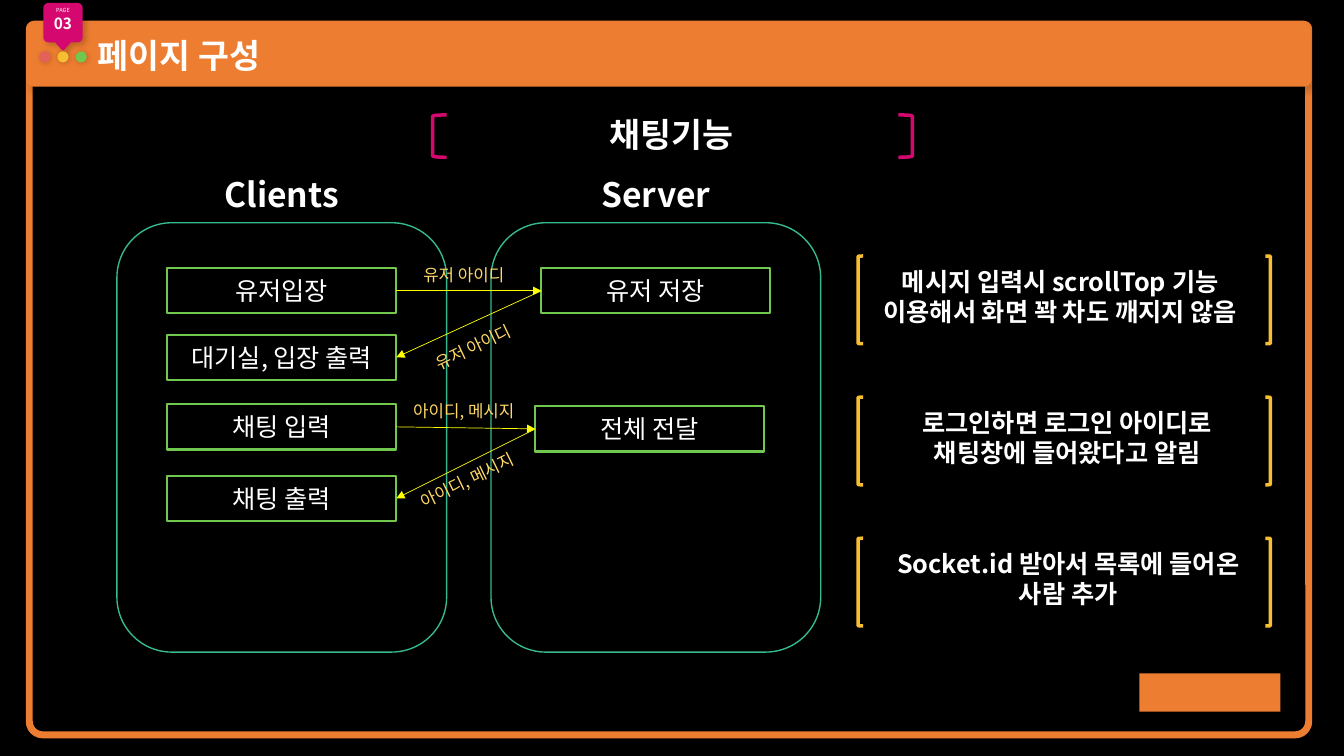
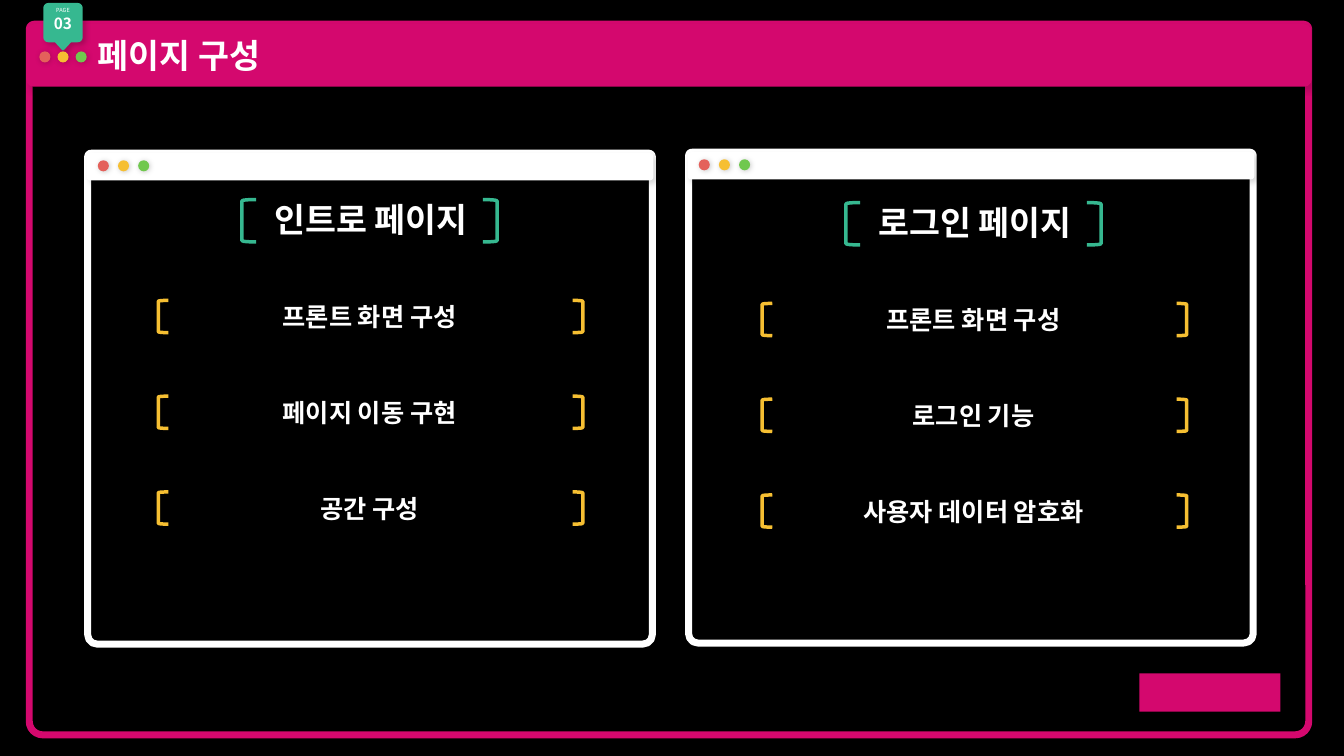
from dataclasses import dataclass
from math import cos, radians, sin

from lxml.etree import SubElement
from pptx import Presentation
from pptx.dml.color import RGBColor
from pptx.enum.shapes import MSO_CONNECTOR, MSO_SHAPE
from pptx.enum.text import MSO_ANCHOR, MSO_AUTO_SIZE, PP_ALIGN
from pptx.oxml.ns import qn
from pptx.util import Pt

PX = 9144  # EMU per px, 100 px to the inch
FONT = "Noto Sans CJK KR"
COLOURS = {
    "black": "000000", "white": "FFFFFF", "orange": "ED7D31", "pink": "D4086E",
    "teal": "36B890", "red": "E4615B", "amber": "F6BF32", "green": "70C84E",
    "yellow": "FFFF00", "sand": "FFD966",
}


@dataclass
class BracketStyle:
    width: int
    height: int
    tip: int
    text_width: int
    text_rise: int  # distance from bracket top up to the text box
    size: int


WIDE_HEADING = BracketStyle(476, 42, 14, 426, 6, 24)
WINDOW_HEADING = BracketStyle(253, 42, 14, 240, 6, 24)
WINDOW_ITEM = BracketStyle(421, 32, 10, 405, 4, 18)
SIDE_NOTE = BracketStyle(409, 87, 5, 397, -5, 18)


def rgb(name):
    return RGBColor.from_string(COLOURS[name])


def emu(*lengths):
    return [length * PX for length in lengths]


# Basic elements
def paint(shape, fill=None, line=None, weight=1):
    shape.shadow.inherit = False
    if fill:
        shape.fill.solid()
        shape.fill.fore_color.rgb = rgb(fill)
    else:
        shape.fill.background()
    if line:
        shape.line.color.rgb = rgb(line)
        shape.line.width = Pt(weight)
    else:
        shape.line.fill.background()
    return shape


def add_shape(slide, preset, box, adjust=(), **look):
    shape = slide.shapes.add_shape(preset, *emu(*box))
    for index, value in enumerate(adjust):
        shape.adjustments[index] = value
    return paint(shape, **look)


def cast_shadow(shape, opacity, distance):
    effects = shape._element.spPr.find(qn("a:effectLst"))
    shadow = SubElement(effects, qn("a:outerShdw"), blurRad=str(Pt(4)),
                        dist=str(Pt(distance)), dir="2700000", algn="tl",
                        rotWithShape="0")
    colour = SubElement(shadow, qn("a:srgbClr"), val=COLOURS["black"])
    SubElement(colour, qn("a:alpha"), val=str(opacity * 1000))


def write(paragraph, text, size=18, colour="white", bold=False,
          align=PP_ALIGN.CENTER):
    paragraph.alignment = align
    run = paragraph.add_run()
    run.text = text
    run.font.size = Pt(size)
    run.font.bold = bold
    run.font.color.rgb = rgb(colour)
    run.font.name = FONT
    SubElement(run.font._element, qn("a:ea"), typeface=FONT)


def add_text(slide, text, box, wrap=True, rotation=0, **style):
    label = slide.shapes.add_textbox(*emu(*box))
    label.rotation = rotation
    label.text_frame.word_wrap = wrap
    label.text_frame.auto_size = MSO_AUTO_SIZE.SHAPE_TO_FIT_TEXT
    write(label.text_frame.paragraphs[0], text, **style)


def add_bracketed(slide, text, left, top, text_left, style, colour):
    add_text(slide, text, (text_left, top - style.text_rise, style.text_width,
                           style.size * 2),
             size=style.size, bold=True)
    for offset, rotation in ((0, 0), (style.width - style.tip, 180)):
        bracket = add_shape(slide, MSO_SHAPE.LEFT_BRACKET,
                            (left + offset, top, style.tip, style.height),
                            line=colour, weight=2.5)
        bracket.rotation = rotation


# Window frames
def add_dots(slide, left, top, step):
    for index, colour in enumerate(("red", "amber", "green")):
        dot = add_shape(slide, MSO_SHAPE.OVAL,
                        (left + index * step, top, 11, 11), fill=colour)
        cast_shadow(dot, 20, 1)


def add_window(slide, left, top, width, height, bar_height, inset, colour):
    frame = add_shape(slide, MSO_SHAPE.ROUND_2_SAME_RECTANGLE,
                      (left + inset, top, width - 2 * inset, height),
                      adjust=(0.007, 0.019), line=colour, weight=5)
    bar = add_shape(slide, MSO_SHAPE.ROUNDED_RECTANGLE,
                    (left, top, width, bar_height), adjust=(0.12,), fill=colour)
    for part in (frame, bar):
        cast_shadow(part, 15, 3)
    return bar


def add_page_pin(slide, colour):
    left, top, right, bottom, radius, centre = 43, 3, 82, 42, 5, 62.5
    arcs = [((right - radius, top + radius), radius, 270, 360),
            ((right - radius, bottom - radius), radius, 0, 90),
            ((centre, 48.5), 1.5, 45, 135),
            ((left + radius, bottom - radius), radius, 90, 180),
            ((left + radius, top + radius), radius, 180, 270)]
    outline = []
    for index, ((x, y), size, start, end) in enumerate(arcs):
        curve = [(x + size * cos(radians(a)), y + size * sin(radians(a)))
                 for a in range(start, end + 1, 15)]
        if index == 2:  # the pointer below the badge
            curve = [(centre + 8, bottom), *curve, (centre - 8, bottom)]
        outline += [(px * 100, py * 100) for px, py in curve]
    builder = slide.shapes.build_freeform(*outline[0], scale=PX / 100)
    builder.add_line_segments(outline[1:], close=True)
    pin = paint(builder.convert_to_shape(), fill=colour)
    cast_shadow(pin, 20, 3)
    frame = pin.text_frame
    frame.vertical_anchor = MSO_ANCHOR.TOP
    frame.margin_left = frame.margin_right = frame.margin_bottom = 0
    frame.margin_top = 4 * PX
    write(frame.paragraphs[0], "PAGE", size=4)
    write(frame.add_paragraph(), "03", size=11, bold=True)


def add_page(deck, title, colour, pin_colour):
    slide = deck.slides.add_slide(deck.slide_layouts[6])
    slide.background.fill.solid()
    slide.background.fill.fore_color.rgb = rgb("black")
    band = add_window(slide, 26, 24, 1275, 705, 62, 3, colour)
    band.text_frame.margin_left = 69 * PX
    band.text_frame.vertical_anchor = MSO_ANCHOR.MIDDLE
    write(band.text_frame.paragraphs[0], title, size=24, bold=True,
          align=PP_ALIGN.LEFT)
    add_page_pin(slide, pin_colour)
    add_dots(slide, 39, 51, 18)
    # Plain corner block
    add_shape(slide, MSO_SHAPE.RECTANGLE, (1130, 668, 140, 38), fill=colour)
    return slide


# Chat flow
def add_lane(slide, name, left):
    add_shape(slide, MSO_SHAPE.ROUNDED_RECTANGLE, (left, 221, 327, 426),
              line="teal")
    add_text(slide, name, (left + 50, 168, 227, 50), size=24, bold=True)


def add_step(slide, text, left, top):
    step = add_shape(slide, MSO_SHAPE.RECTANGLE, (left, top, 227, 45),
                     line="green", weight=1.5)
    step.text_frame.vertical_anchor = MSO_ANCHOR.MIDDLE
    write(step.text_frame.paragraphs[0], text)
    return step


def add_arrow(slide, source, source_side, target, target_side):
    arrow = slide.shapes.add_connector(MSO_CONNECTOR.STRAIGHT, 0, 0, 0, 0)
    arrow.begin_connect(source, source_side)
    arrow.end_connect(target, target_side)
    arrow.line.color.rgb = rgb("yellow")
    arrow.line.width = Pt(0.5)
    properties = arrow._element.spPr
    SubElement(properties.find(qn("a:ln")), qn("a:tailEnd"), type="triangle")
    SubElement(properties, qn("a:effectLst"))


def add_exchange(slide, request, receiver, reply, receiver_at, client_tops):
    sender = add_step(slide, request, 166, client_tops[0])
    server = add_step(slide, receiver, *receiver_at)
    listener = add_step(slide, reply, 166, client_tops[1])
    add_arrow(slide, sender, 3, server, 1)
    add_arrow(slide, server, 1, listener, 3)


def build_chat_slide(deck):
    slide = add_page(deck, "페이지 구성", "orange", "pink")
    add_bracketed(slide, "채팅기능", 429, 114, 453, WIDE_HEADING, "pink")
    add_lane(slide, "Clients", 116)
    add_lane(slide, "Server", 487)

    add_exchange(slide, "유저입장", "유저 저장", "대기실, 입장 출력",
                 (537, 266), (266, 332))
    add_exchange(slide, "채팅 입력", "전체 전달", "채팅 출력",
                 (531, 403), (401, 472))
    for text, left, top, width, rotation in (
            ("유저 아이디", 410, 258, 110, 0),
            ("유저 아이디", 419, 327, 110, 334.6),
            ("아이디, 메시지", 400, 393, 131, 0),
            ("아이디, 메시지", 403, 459, 131, 334.1)):
        add_text(slide, text, (left, top, width, 30), wrap=False,
                 rotation=rotation, size=12, colour="sand",
                 align=PP_ALIGN.LEFT)

    # Side notes
    notes = (("메시지 입력시 scrollTop 기능 이용해서 화면 꽉 차도 깨지지 않음", 853),
             ("로그인하면 로그인 아이디로 채팅창에 들어왔다고 알림", 860),
             ("Socket.id 받아서 목록에 들어온 사람 추가", 861))
    for row, (text, text_left) in enumerate(notes):
        add_bracketed(slide, text, 851, 254 + row * 140, text_left, SIDE_NOTE,
                      "amber")


def build_pages_slide(deck):
    slide = add_page(deck, "페이지 구성", "pink", "teal")
    windows = (
        (86, 152, 240, 198, "인트로 페이지",
         ("프론트 화면 구성", "페이지 이동 구현", "공간 구성")),
        (682, 151, 839, 201, "로그인 페이지",
         ("프론트 화면 구성", "로그인 기능", "사용자 데이터 암호화")))
    for left, top, heading_left, heading_top, heading, items in windows:
        add_window(slide, left, top, 562, 487, 27, 1, "white")
        add_dots(slide, left + 11, top + 7, 20)
        add_bracketed(slide, heading, heading_left, heading_top,
                      heading_left + 8, WINDOW_HEADING, "teal")
        item_left = heading_left - 83
        for row, item in enumerate(items):
            add_bracketed(slide, item, item_left, heading_top + 100 + row * 95,
                          item_left + 7, WINDOW_ITEM, "amber")


def main():
    deck = Presentation()
    deck.slide_width, deck.slide_height = emu(1333, 750)
    build_chat_slide(deck)
    build_pages_slide(deck)
    deck.save("out.pptx")


if __name__ == "__main__":
    main()
